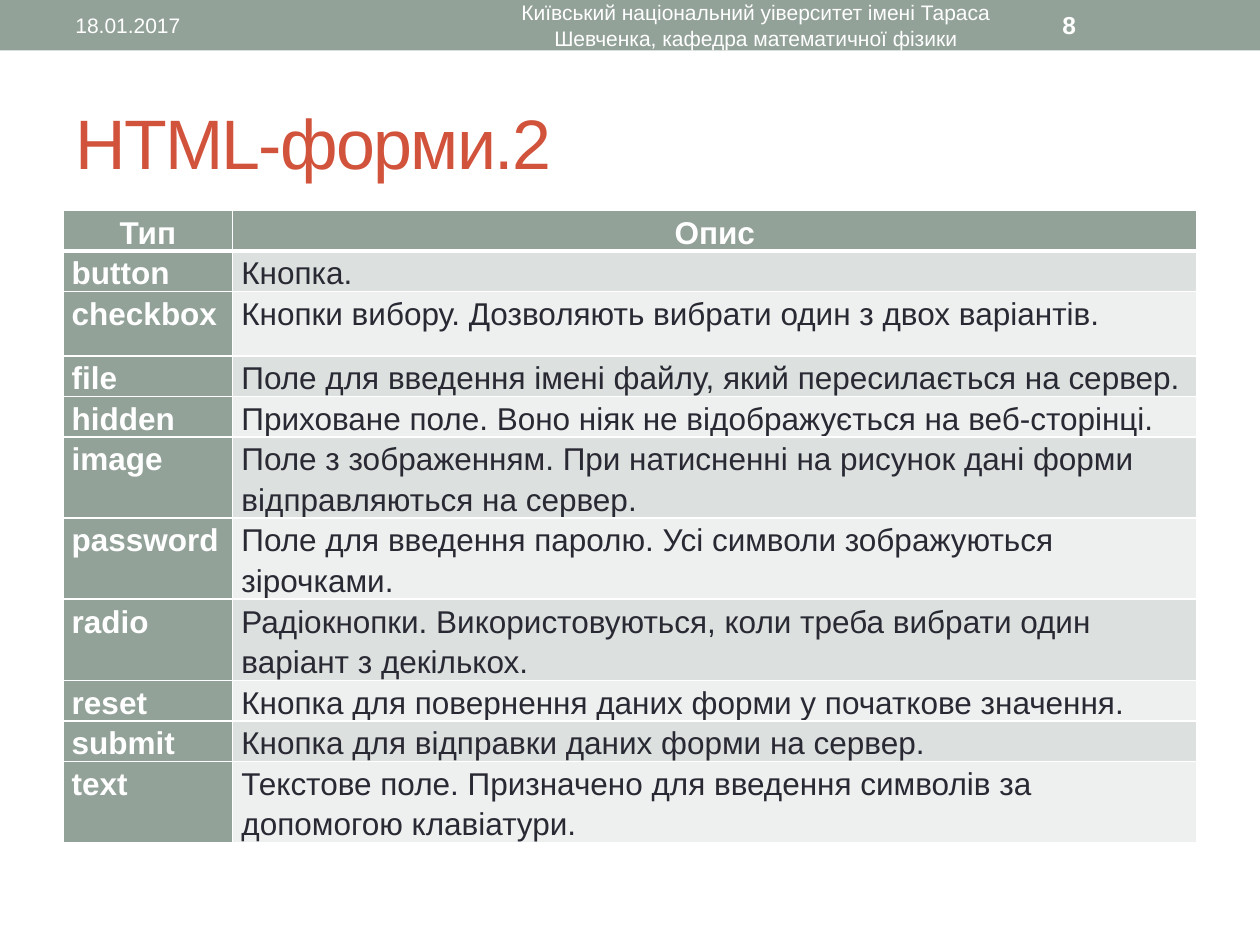
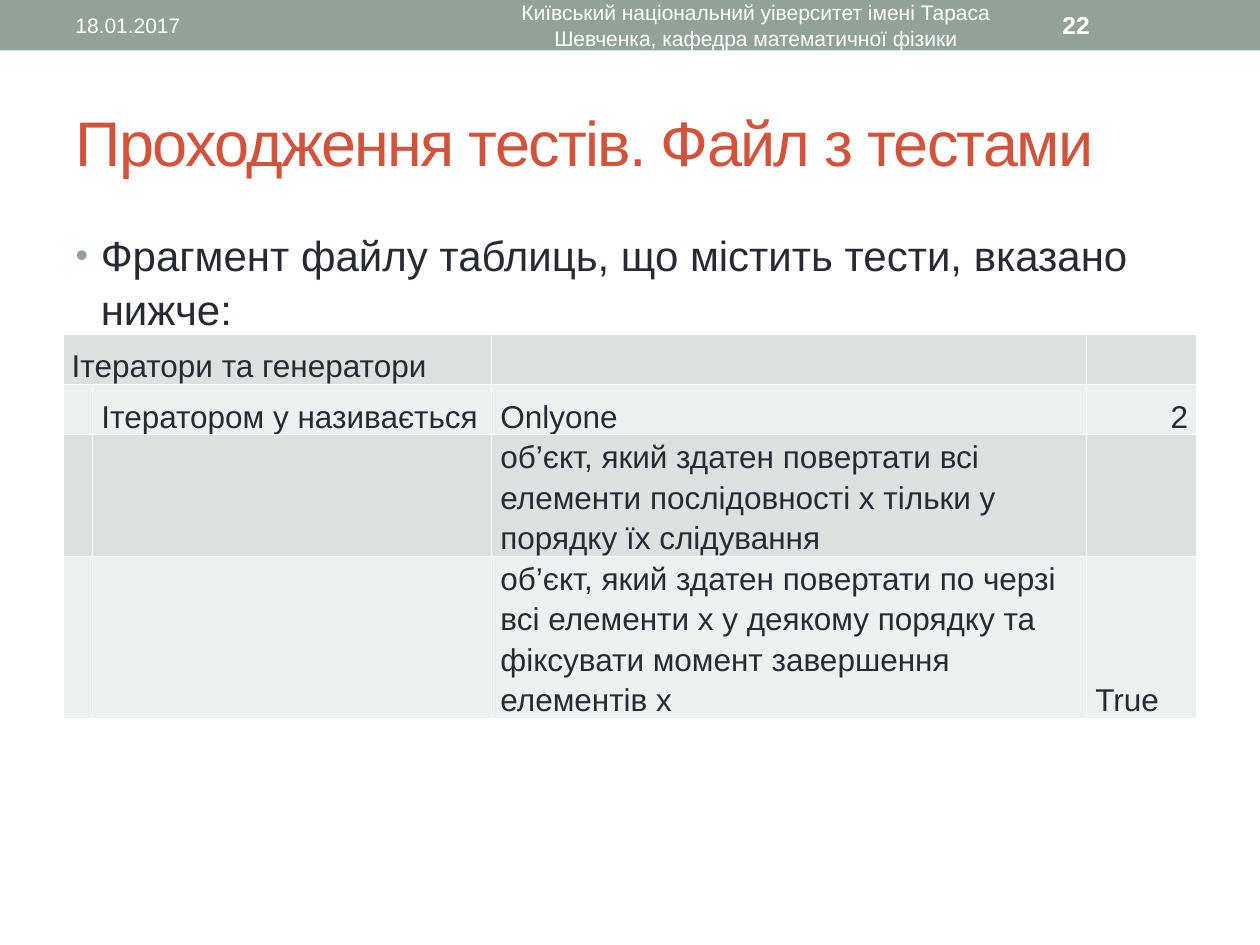
"""Builds two lecture slides: a table of HTML form field types and a sample of a test file."""
import pptx
import pptx.dml.color
import pptx.enum.shapes
import pptx.enum.text
import pptx.oxml
import pptx.oxml.ns
import pptx.util

Pt = pptx.util.Pt
RGBColor = pptx.dml.color.RGBColor
Align = pptx.enum.text.PP_ALIGN
Anchor = pptx.enum.text.MSO_ANCHOR

SAGE = RGBColor(0x93, 0xA2, 0x99)
RUST = RGBColor(0xD2, 0x53, 0x3C)
INK = RGBColor(0x29, 0x29, 0x34)
WHITE = RGBColor(0xFF, 0xFF, 0xFF)
STRIPES = [RGBColor(0xDC, 0xE0, 0xDE), RGBColor(0xEE, 0xF0, 0xEF)]
FONT = "Arial"
NAMESPACE = pptx.oxml.ns.nsdecls("a")
LEFT, WIDTH = 36, 648
DATE = "18.01.2017"
DEPARTMENT = "Київський національний уіверситет імені Тараса Шевченка, кафедра математичної фізики"


def write(frame, text, size=18, color=INK, bold=False, align=Align.LEFT,
          anchor=Anchor.MIDDLE, line_spacing=1.0, tracking=0, bullet=False):
    frame.word_wrap = True
    frame.auto_size = pptx.enum.text.MSO_AUTO_SIZE.NONE
    frame.vertical_anchor = anchor
    para = frame.paragraphs[0]
    para.alignment = align
    para.line_spacing = line_spacing
    para.space_before = Pt(0)
    if bullet:
        properties = para._p.get_or_add_pPr()
        properties.set("marL", str(Pt(14.4)))
        properties.set("indent", str(-Pt(14.4)))
        for markup in (f'<a:buClr {NAMESPACE}><a:srgbClr val="{SAGE}"/></a:buClr>',
                       f'<a:buSzPct {NAMESPACE} val="85000"/>',
                       f'<a:buFont {NAMESPACE} typeface="{FONT}"/>',
                       f'<a:buChar {NAMESPACE} char="•"/>'):
            properties.append(pptx.oxml.parse_xml(markup))
    span = para.add_run()
    span.text = text
    span.font.name = FONT
    span.font.size = Pt(size)
    span.font.bold = bold
    span.font.color.rgb = color
    if tracking:
        span._r.get_or_add_rPr().set("spc", str(tracking * 100))


def fill_cell(cell, fill, text="", top=1, bottom=1, anchor=Anchor.TOP, **style):
    properties = cell._tc.get_or_add_tcPr()
    for side, weight in (("L", 1), ("R", 1), ("T", top), ("B", bottom)):
        properties.append(pptx.oxml.parse_xml(
            f'<a:ln{side} {NAMESPACE} w="{Pt(weight)}"><a:solidFill>'
            f'<a:srgbClr val="{WHITE}"/></a:solidFill></a:ln{side}>'))
    cell.fill.solid()
    cell.fill.fore_color.rgb = fill
    cell.margin_left = cell.margin_right = Pt(5)
    cell.margin_top = cell.margin_bottom = Pt(0)
    cell.vertical_anchor = anchor
    if text:
        write(cell.text_frame, text, anchor=None, line_spacing=1.15, **style)


deck = pptx.Presentation()
deck.slide_width, deck.slide_height = Pt(720), Pt(540)

pages = []
for layout, title, title_size, number in (
        (5, "HTML-форми.2", 40, "8"),
        (1, "Проходження тестів. Файл з тестами", 36, "22")):
    page = deck.slides.add_slide(deck.slide_layouts[layout])
    pages.append(page)
    heading = page.shapes.title
    heading.left, heading.top, heading.width, heading.height = Pt(LEFT), Pt(42), Pt(WIDTH), Pt(78)
    write(heading.text_frame, title, size=title_size, color=RUST, tracking=-1)

    band = page.shapes.add_shape(pptx.enum.shapes.MSO_SHAPE.RECTANGLE, 0, 0, deck.slide_width, Pt(28.8))
    band.shadow.inherit = False
    band.fill.solid()
    band.fill.fore_color.rgb = SAGE
    band.line.fill.background()
    for left, width, text, style in (
            (36, 228, DATE, {"size": 12}),
            (270, 324, DEPARTMENT, {"size": 12, "align": Align.CENTER}),
            (600, 84, number, {"size": 14, "bold": True})):
        box = page.shapes.add_textbox(Pt(left), Pt(1.4), Pt(width), Pt(26))
        write(box.text_frame, text, color=WHITE, **style)

forms_page, tests_page = pages

field_types = [
    ("Тип", "Опис"),
    ("button", "Кнопка."),
    ("checkbox", "Кнопки вибору. Дозволяють вибрати один з двох варіантів."),
    ("file", "Поле для введення імені файлу, який пересилається на сервер."),
    ("hidden", "Приховане поле. Воно ніяк не відображується на веб-сторінці."),
    ("image", "Поле з зображенням. При натисненні на рисунок дані форми відправляються на сервер."),
    ("password", "Поле для введення паролю. Усі символи зображуються зірочками."),
    ("radio", "Радіокнопки. Використовуються, коли треба вибрати один варіант з декількох."),
    ("reset", "Кнопка для повернення даних форми у початкове значення."),
    ("submit", "Кнопка для відправки даних форми на сервер."),
    ("text", "Текстове поле. Призначено для введення символів за допомогою клавіатури."),
]
tall_rows = {"checkbox", "image", "password", "radio"}
types_table = forms_page.shapes.add_table(
    len(field_types), 2, Pt(LEFT), Pt(120.3), Pt(WIDTH), Pt(252)).table
types_table.columns[0].width, types_table.columns[1].width = Pt(97), Pt(551)
for row, (kind, description) in enumerate(field_types):
    types_table.rows[row].height = Pt(36.7 if kind in tall_rows else 18)
    header = row == 0
    borders = {"top": 3 if row == 1 else 1, "bottom": 3 if header else 1}
    align = Align.CENTER if header else Align.LEFT
    fill_cell(types_table.cell(row, 0), SAGE, kind, color=WHITE, bold=True, align=align, **borders)
    fill_cell(types_table.cell(row, 1), SAGE if header else STRIPES[(row - 1) % 2], description,
              color=WHITE if header else INK, bold=header, align=align, **borders)

body = tests_page.placeholders[1]
body.left, body.top, body.width, body.height = Pt(LEFT), Pt(126), Pt(WIDTH), Pt(384)
write(body.text_frame, "Фрагмент файлу таблиць, що містить тести, вказано нижче:",
      size=24, anchor=Anchor.TOP, line_spacing=1.06, bullet=True)

test_rows = [
    (28.8, ("Ітератори та генератори", "", "", "")),
    (28.8, ("", "Ітератором y називається", "Onlyone", "2")),
    (56, ("", "", "об’єкт, який здатен повертати всі елементи послідовності x тільки у "
                  "порядку їх слідування", "")),
    (85, ("", "", "об’єкт, який здатен повертати по черзі всі елементи x у деякому порядку та "
                  "фіксувати момент завершення елементів x", "True")),
]
tests_table = tests_page.shapes.add_table(
    len(test_rows), 4, Pt(LEFT), Pt(190.8), Pt(WIDTH), Pt(198.6)).table
tests_table.first_row = False
for column, width in zip(tests_table.columns, (17, 228, 340, 63)):
    column.width = Pt(width)
tests_table.cell(0, 0).merge(tests_table.cell(0, 1))
for row, (height, texts) in enumerate(test_rows):
    tests_table.rows[row].height = Pt(height)
    for column, text in enumerate(texts):
        fill_cell(tests_table.cell(row, column), STRIPES[row % 2], text, anchor=Anchor.BOTTOM,
                  align=Align.RIGHT if text.isdigit() else Align.LEFT)

deck.save("out.pptx")
